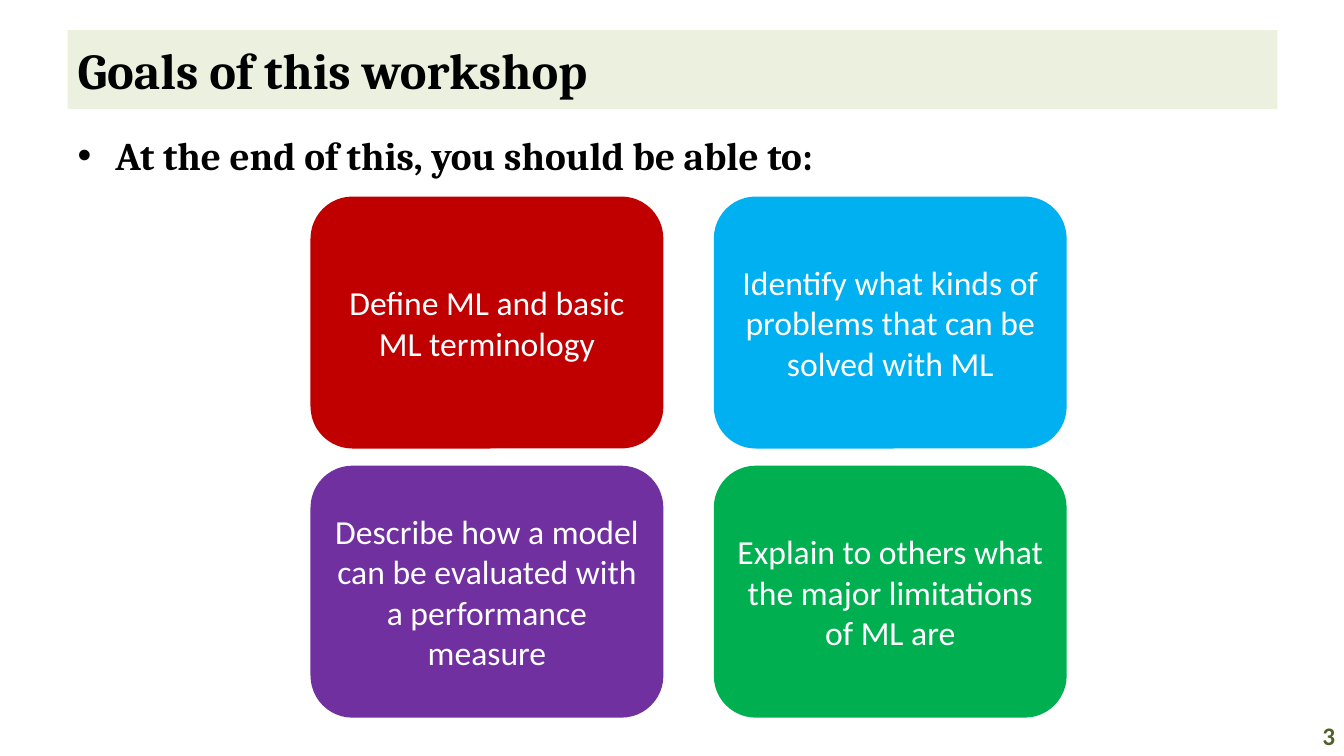
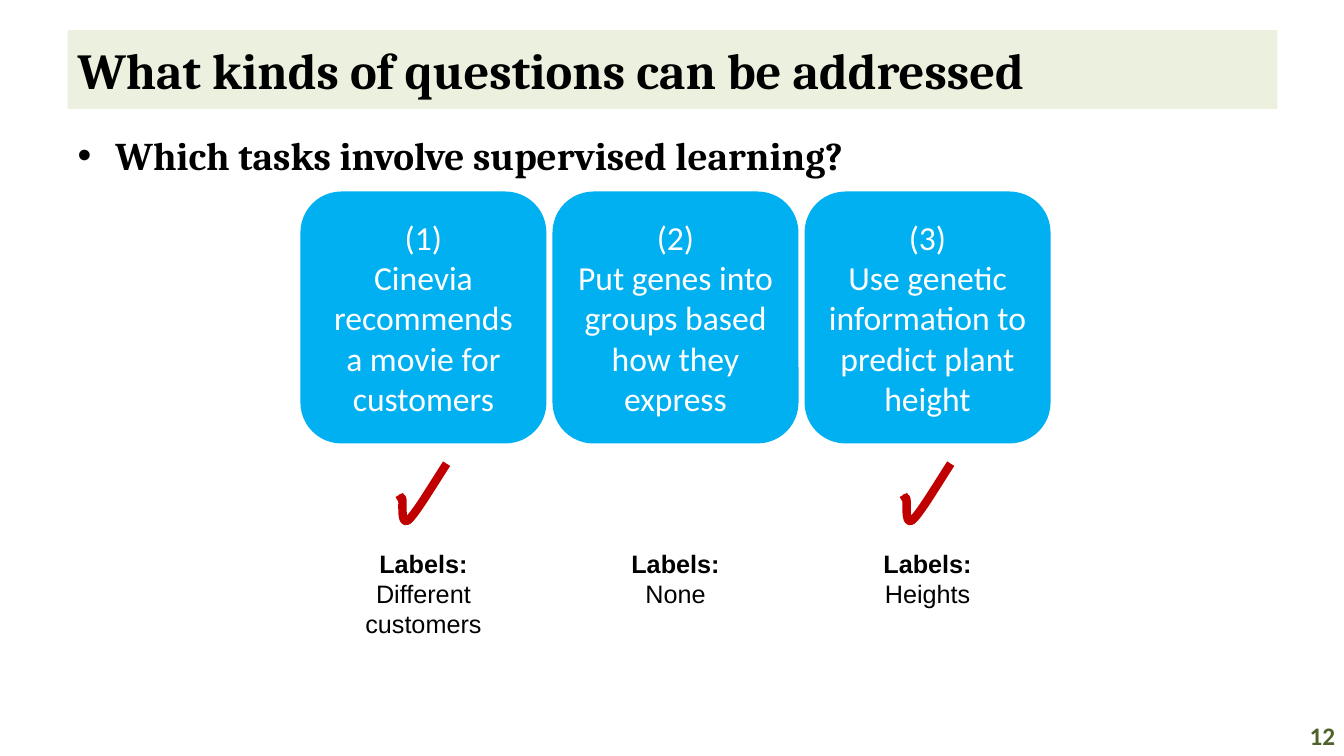
import pptx
import pptx.dml.color
import pptx.enum.shapes
import pptx.enum.text
import pptx.util

Inches, Pt = pptx.util.Inches, pptx.util.Pt
SHAPE = pptx.enum.shapes.MSO_SHAPE
ALIGN = pptx.enum.text.PP_ALIGN
ANCHOR = pptx.enum.text.MSO_ANCHOR

COLORS = {
    "band": "EBF1DE", "black": "000000", "white": "FFFFFF", "olive": "4F6228",
    "red": "C00000", "blue": "00B0F0", "purple": "7030A0", "green": "00B050",
}
STYLES = {
    "title": {"name": "Cambria", "size": Pt(36), "bold": True, "color": "black"},
    "body": {"name": "Cambria", "size": Pt(28), "bold": True, "color": "black"},
    "number": {"name": "Calibri", "size": Pt(18), "bold": True, "color": "olive"},
    "card": {"name": "Calibri", "size": Pt(24), "bold": False, "color": "white"},
    "label": {"name": "Arial", "size": Pt(18), "bold": False, "color": "black"},
}

# Left, top, width, height in inches
TITLE_BOX = (0.67, 0.3, 12, 0.78)
BODY_BOX = (0.67, 1.25, 12, 5.85)
NUMBER_BOX = (12.67, 7.1, 0.67, 0.4)

GOALS = {
    "title": "Goals of this workshop",
    "lead": "At the end of this, you should be able to:",
    "number": "3",
    "cards": [
        ("Define ML and basic ML terminology", "red"),
        ("Identify what kinds of problems that can be solved with ML", "blue"),
        ("Describe how a model can be evaluated with a performance measure", "purple"),
        ("Explain to others what the major limitations of ML are", "green"),
    ],
}
QUESTIONS = {
    "title": "What kinds of questions can be addressed",
    "lead": "Which tasks involve supervised learning?",
    "number": "12",
    # Task, labels, whether it is supervised
    "tasks": [
        ("Cinevia recommends a movie for customers", ["Different", "customers"], True),
        ("Put genes into groups based how they express", ["None"], False),
        ("Use genetic information to predict plant height", ["Heights"], True),
    ],
}

CARD_HEIGHT = 2.5
GOAL_WIDTH, GOAL_LEFT, GOAL_TOP = 3.5, 3.08, 1.95
GOAL_PITCH_X, GOAL_PITCH_Y = 4, 2.67
TASK_WIDTH, TASK_LEFT, TASK_TOP, TASK_PITCH = 2.44, 2.98, 1.9, 2.5
TICK_LEFT, TICK_TOP = 0.98, 4.6
LABEL_TOP, LABEL_HEIGHT = 5.39, 1.01

# Bezier segments of the check mark, relative to its top left corner
TICK_START = (0, 0.31)
TICK_CURVES = [
    ((0.05, 0.4), (0.01, 0.31), (0.03, 0.35)),
    ((0.04, 0.39), (0.01, 0.62), (0.09, 0.56)),
    ((0.16, 0.5), (0.31, 0.25), (0.47, 0)),
]
CURVE_STEPS = 10


def rgb(name):
    return pptx.dml.color.RGBColor.from_string(COLORS[name])


def box(values):
    return [Inches(value) for value in values]


def place(shape, values):
    for side, value in zip(("left", "top", "width", "height"), box(values)):
        setattr(shape, side, value)


def write(shape, lines, style, align=ALIGN.CENTER, anchor=ANCHOR.MIDDLE):
    """Fill a shape with one paragraph a line, all in the named style."""
    frame = shape.text_frame
    frame.word_wrap = True
    frame.vertical_anchor = anchor
    frame.text = "\n".join(lines)
    for paragraph in frame.paragraphs:
        paragraph.alignment = align
        paragraph.space_before = Pt(0)
        for run in paragraph.runs:
            for key, value in STYLES[style].items():
                if key == "color":
                    run.font.color.rgb = rgb(value)
                else:
                    setattr(run.font, key, value)


def paint(shape, color):
    shape.fill.solid()
    shape.fill.fore_color.rgb = rgb(color)


def add_page(deck, content):
    """Add a slide with the shared title band, lead bullet and number."""
    slide = deck.slides.add_slide(deck.slide_layouts[1])
    title, lead = slide.shapes.title, slide.placeholders[1]
    place(title, TITLE_BOX)
    paint(title, "band")
    write(title, [content["title"]], "title", ALIGN.LEFT)
    place(lead, BODY_BOX)
    write(lead, [content["lead"]], "body", ALIGN.LEFT, ANCHOR.TOP)
    number = slide.shapes.add_textbox(*box(NUMBER_BOX))
    write(number, [content["number"]], "number", ALIGN.RIGHT)
    return slide


def add_card(slide, values, lines, color):
    card = slide.shapes.add_shape(SHAPE.ROUNDED_RECTANGLE, *box(values))
    card.shadow.inherit = False
    paint(card, color)
    card.line.fill.background()
    write(card, lines, "card")


def curve_points(start, first, second, end):
    """Points along a cubic Bezier curve, without its start."""
    for step in range(1, CURVE_STEPS + 1):
        t = step / CURVE_STEPS
        u = 1 - t
        yield tuple(
            u**3 * a + 3 * u * u * t * b + 3 * u * t * t * c + t**3 * d
            for a, b, c, d in zip(start, first, second, end)
        )


def add_tick(slide, left, top):
    points = [TICK_START]
    for curve in TICK_CURVES:
        points.extend(curve_points(points[-1], *curve))
    outline = [(Inches(left + x), Inches(top + y)) for x, y in points]
    builder = slide.shapes.build_freeform(*outline[0])
    builder.add_line_segments(outline[1:], close=False)
    tick = builder.convert_to_shape()
    tick.shadow.inherit = False
    tick.fill.background()
    tick.line.color.rgb = rgb("red")
    tick.line.width = Pt(6)


def add_goals(deck):
    slide = add_page(deck, GOALS)
    for index, (goal, color) in enumerate(GOALS["cards"]):
        row, column = divmod(index, 2)
        left = GOAL_LEFT + column * GOAL_PITCH_X
        top = GOAL_TOP + row * GOAL_PITCH_Y
        add_card(slide, (left, top, GOAL_WIDTH, CARD_HEIGHT), [goal], color)


def add_questions(deck):
    slide = add_page(deck, QUESTIONS)
    for index, (task, labels, supervised) in enumerate(QUESTIONS["tasks"]):
        left = TASK_LEFT + index * TASK_PITCH
        add_card(slide, (left, TASK_TOP, TASK_WIDTH, CARD_HEIGHT),
                 [f"({index + 1})", task], "blue")
        if supervised:
            add_tick(slide, left + TICK_LEFT, TICK_TOP)
        caption = slide.shapes.add_textbox(
            *box((left, LABEL_TOP, TASK_WIDTH, LABEL_HEIGHT)))
        write(caption, ["Labels:", *labels], "label", anchor=ANCHOR.TOP)
        caption.text_frame.paragraphs[0].runs[0].font.bold = True


def main():
    deck = pptx.Presentation()
    deck.slide_width, deck.slide_height = Inches(13.33), Inches(7.5)
    add_goals(deck)
    add_questions(deck)
    deck.save("out.pptx")


if __name__ == "__main__":
    main()
